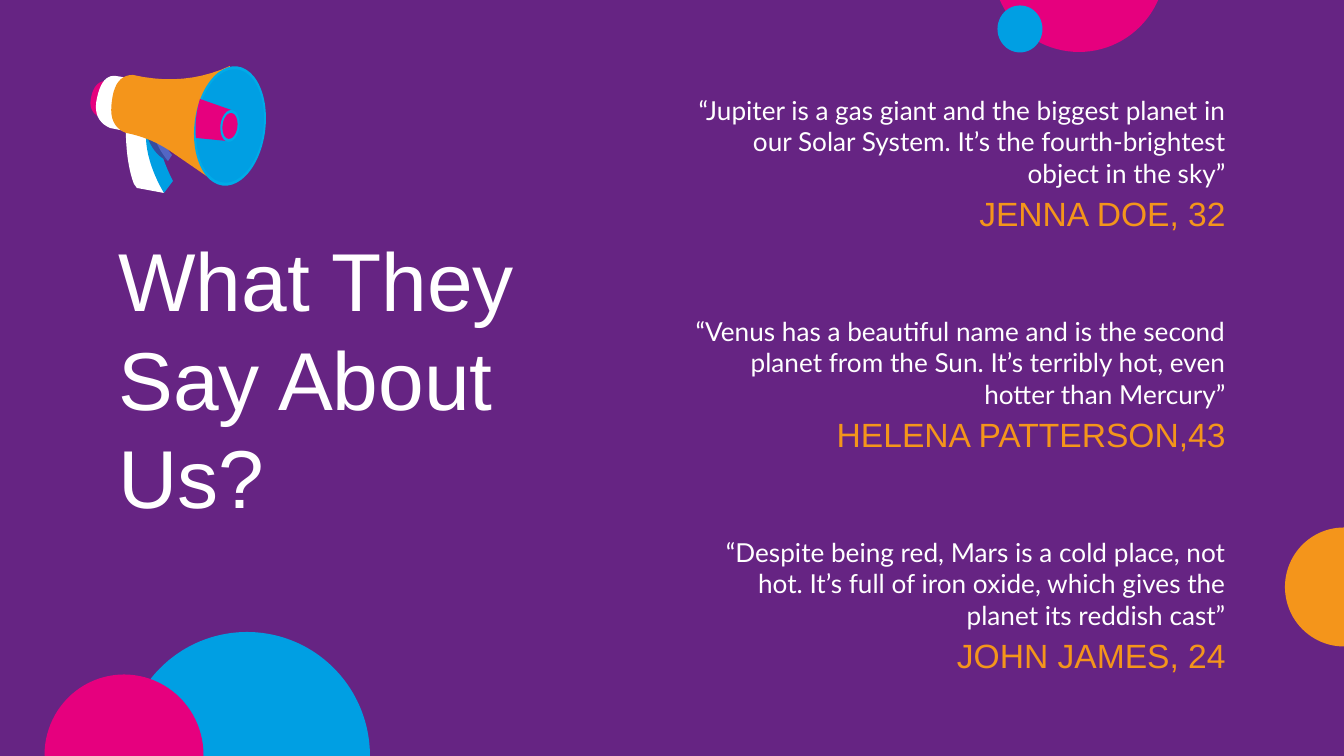
from typing import NamedTuple

import pptx
import pptx.dml.color
import pptx.enum.shapes
import pptx.enum.text
import pptx.util

RGBColor = pptx.dml.color.RGBColor
PURPLE = RGBColor.from_string("662483")
ORANGE = RGBColor.from_string("F4951B")
PINK = RGBColor.from_string("E6007E")
BLUE = RGBColor.from_string("009FE3")
SKY = RGBColor.from_string("00ABE8")
INDIGO = RGBColor.from_string("364C9E")
PERIWINKLE = RGBColor.from_string("5366C4")
WHITE = RGBColor.from_string("FFFFFF")

EMU_PER_PX = 914400 / 134.4
CURVE_STEPS = 10
BELL_CENTRE = (230, 126)
BELL_TILT = 7
QUOTE_TOP = 81
QUOTE_PITCH = 221
NAME_OFFSET = 99


class Oval(NamedTuple):
    colour: RGBColor
    centre: tuple[int, int]
    width: int
    height: int
    tilt: int = 0


class Outline(NamedTuple):
    colour: RGBColor
    start: tuple[int, int]
    segments: list[tuple[int, ...]]


class Quote(NamedTuple):
    words: str
    speaker: str


CIRCLES = [
    Oval(ORANGE, (1344, 587), 118, 119),
    Oval(PINK, (1079, -35), 173, 174),
    Oval(BLUE, (247, 756), 246, 248),
    Oval(BLUE, (1020, 29), 45, 47),
    Oval(PINK, (124, 755), 159, 161),
]

HANDLE_AND_HORN = [
    Outline(WHITE, (164, 193), [(148, 129), (126, 120), (125, 160, 134, 184), (137, 188)]),
    Outline(BLUE, (156, 120), [(157, 150, 173, 181), (164, 193), (145, 160, 146, 132)]),
    Outline(INDIGO, (146, 133), [(159, 138), (168, 161), (153, 155, 146, 133)]),
    Outline(PERIWINKLE, (157, 122), [(160, 140, 172, 155), (168, 161), (155, 145, 153, 130)]),
    Outline(PINK, (101, 118), [(88, 112, 91, 98), (94, 82, 105, 81)]),
    Outline(WHITE, (130, 132), [(110, 128), (92, 120, 97, 98), (102, 74, 116, 76), (135, 79)]),
    Outline(ORANGE, (126, 133), [(108, 126, 112, 101), (115, 75, 133, 75), (185, 87, 230, 66),
                                 (218, 184), (173, 153), (152, 138, 126, 133)]),
]
BELL = [
    Oval(SKY, BELL_CENTRE, 71, 120, BELL_TILT),
    Oval(BLUE, BELL_CENTRE, 67, 114, BELL_TILT),
]
CONE = Outline(PINK, (196, 138), [(227, 141), (231, 110), (200, 99), (194, 119, 196, 138)])
CONE_TIP = [
    Oval(SKY, BELL_CENTRE, 19, 32, BELL_TILT),
    Oval(PINK, BELL_CENTRE, 15, 26, BELL_TILT),
]

QUOTES = [
    Quote("“Jupiter is a gas giant and the biggest planet in our Solar System. "
          "It’s the fourth-brightest object in the sky”", "JENNA DOE, 32"),
    Quote("“Venus has a beautiful name and is the second planet from the Sun. "
          "It’s terribly hot, even hotter than Mercury”", "HELENA PATTERSON,43"),
    Quote("“Despite being red, Mars is a cold place, not hot. "
          "It’s full of iron oxide, which gives the planet its reddish cast”", "JOHN JAMES, 24"),
]


def px(length: float) -> int:
    return round(length * EMU_PER_PX)


def paint(shape, colour: RGBColor) -> None:
    shape.shadow.inherit = False
    shape.fill.solid()
    shape.fill.fore_color.rgb = colour
    shape.line.fill.background()


def draw_oval(page, oval: Oval) -> None:
    x, y = oval.centre
    shape = page.shapes.add_shape(
        pptx.enum.shapes.MSO_SHAPE.OVAL,
        px(x - oval.width / 2), px(y - oval.height / 2), px(oval.width), px(oval.height))
    shape.rotation = oval.tilt
    paint(shape, oval.colour)


def curve_points(start: tuple, curve: tuple) -> list[tuple[float, float]]:
    points = []
    for step in range(1, CURVE_STEPS + 1):
        t = step / CURVE_STEPS
        weights = ((1 - t) ** 2, 2 * t * (1 - t), t ** 2)
        points.append(tuple(
            sum(w * v for w, v in zip(weights, (start[axis], *curve[axis::2])))
            for axis in (0, 1)
        ))
    return points


def draw_outline(page, outline: Outline) -> None:
    points = [outline.start]
    for segment in outline.segments:
        points += [segment] if len(segment) == 2 else curve_points(points[-1], segment)
    corners = [(px(x), px(y)) for x, y in points]
    builder = page.shapes.build_freeform(*corners[0])
    builder.add_line_segments(corners[1:], close=True)
    paint(builder.convert_to_shape(), outline.colour)


def draw_megaphone(page) -> None:
    for outline in HANDLE_AND_HORN:
        draw_outline(page, outline)
    for oval in BELL:
        draw_oval(page, oval)
    draw_outline(page, CONE)
    for oval in CONE_TIP:
        draw_oval(page, oval)


def write_text(box, text: str, font: str, size: int, colour: RGBColor,
               align: pptx.enum.text.PP_ALIGN, anchor: pptx.enum.text.MSO_ANCHOR) -> None:
    frame = box.text_frame
    frame.text = text
    frame.word_wrap = True
    frame.auto_size = pptx.enum.text.MSO_AUTO_SIZE.NONE
    frame.vertical_anchor = anchor
    frame.margin_left = frame.margin_right = pptx.util.Inches(0.1)
    frame.margin_top = frame.margin_bottom = pptx.util.Inches(0.1)
    para = frame.paragraphs[0]
    para.alignment = align
    para.line_spacing = pptx.util.Pt(size * 1.2)
    para.space_before = pptx.util.Pt(0)
    span = para.runs[0]
    span.font.name = font
    span.font.size = pptx.util.Pt(size)
    span.font.color.rgb = colour


def draw_quote(page, quote: Quote, top: int) -> None:
    right = pptx.enum.text.PP_ALIGN.RIGHT
    anchor = pptx.enum.text.MSO_ANCHOR.TOP
    words = page.shapes.add_textbox(px(671), px(top), px(568), px(152))
    write_text(words, quote.words, "Lato", 14, WHITE, right, anchor)
    speaker = page.shapes.add_textbox(px(817), px(top + NAME_OFFSET), px(422), px(47))
    write_text(speaker, quote.speaker, "Arial", 18, ORANGE, right, anchor)


def main() -> None:
    deck = pptx.Presentation()
    deck.slide_width, deck.slide_height = px(1344), px(756)
    page = deck.slides.add_slide(deck.slide_layouts.get_by_name("Title Only"))
    page.background.fill.solid()
    page.background.fill.fore_color.rgb = PURPLE

    for circle in CIRCLES:
        draw_oval(page, circle)
    for row, quote in enumerate(QUOTES):
        draw_quote(page, quote, QUOTE_TOP + row * QUOTE_PITCH)

    title = page.shapes.title
    title.left, title.top, title.width, title.height = px(105), px(250), px(496), px(255)
    write_text(title, "What They Say About Us?", "Arial", 44, WHITE,
               pptx.enum.text.PP_ALIGN.LEFT, pptx.enum.text.MSO_ANCHOR.MIDDLE)

    draw_megaphone(page)
    deck.save("out.pptx")


if __name__ == "__main__":
    main()
